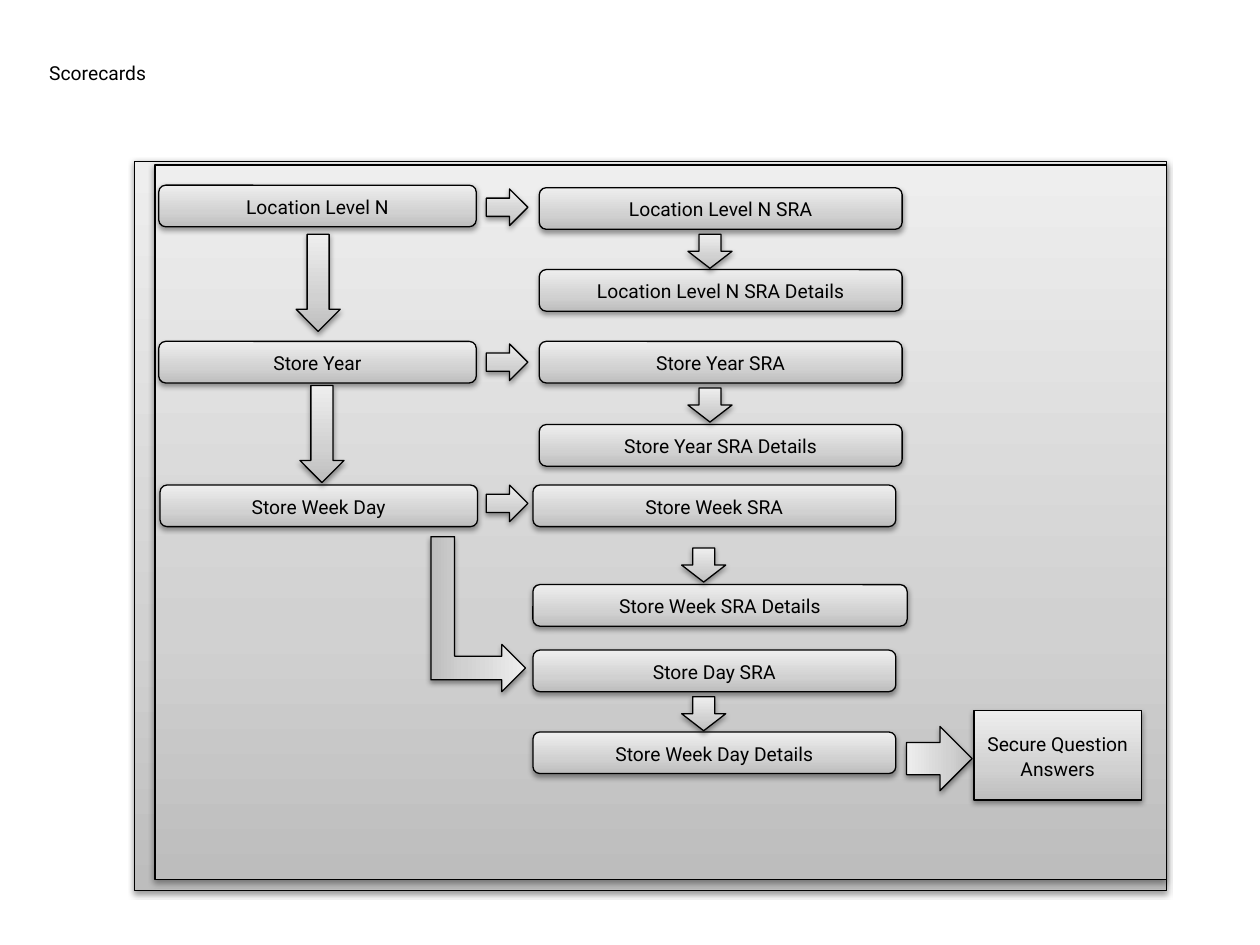
from lxml import etree
from pptx import Presentation
from pptx.dml.color import RGBColor
from pptx.enum.shapes import MSO_SHAPE
from pptx.enum.text import MSO_ANCHOR, MSO_AUTO_SIZE, PP_ALIGN
from pptx.oxml import parse_xml
from pptx.oxml.ns import nsdecls, qn
from pptx.util import Inches, Pt

RECT, ROUND = MSO_SHAPE.RECTANGLE, MSO_SHAPE.ROUNDED_RECTANGLE
DOWN, RIGHT = MSO_SHAPE.DOWN_ARROW, MSO_SHAPE.RIGHT_ARROW
BENT = MSO_SHAPE.BENT_UP_ARROW
LEFT, CENTER, MIDDLE = PP_ALIGN.LEFT, PP_ALIGN.CENTER, MSO_ANCHOR.MIDDLE
NO_FIT = MSO_AUTO_SIZE.NONE

BLACK = RGBColor(0x00, 0x00, 0x00)
GRADIENT = [
    (0, RGBColor(0xBD, 0xBD, 0xBD)),
    (35, RGBColor(0xD1, 0xD1, 0xD1)),
    (100, RGBColor(0xEE, 0xEE, 0xEE)),
]
FONT = "Roboto"

# Columns and sizes, in inches
LEVEL_X, SIDE_ARROW_X = 1.26, 3.86
LEVEL_W, SRA_W, BOX_H = 2.52, 2.88, 0.33
SHORT_ARROW = (0.35, 0.27)
LONG_ARROW = (0.35, 0.77)
SIDE_ARROW = (0.33, 0.29)

# Name, left, top, top of the arrow to its right
LEVELS = [
    ("Location Level N", LEVEL_X, 1.47, 1.5),
    ("Store Year", LEVEL_X, 2.71, 2.73),
    ("Store Week Day", LEVEL_X + 0.01, 3.85, 3.85),
]
# SRA name, details name, left, SRA top, arrow top, details top, details width
DETAILS = [
    ("Location Level N SRA", "Location Level N SRA Details", 4.28, 1.49, 1.86, 2.14, SRA_W),
    ("Store Year SRA", "Store Year SRA Details", 4.28, 2.71, 3.08, 3.37, SRA_W),
    ("Store Week SRA", "Store Week SRA Details", 4.23, 3.85, 4.35, 4.64, 2.97),
    ("Store Day SRA", "Store Week Day Details", 4.23, 5.16, 5.53, 5.81, SRA_W),
]


def write(shape, text, align=CENTER, spacing=1.05, after=8, size=11):
    tf = shape.text_frame
    tf.word_wrap = True
    tf.auto_size = NO_FIT
    tf.vertical_anchor = MIDDLE
    p = tf.paragraphs[0]
    p.alignment = align
    p.line_spacing = spacing
    p.space_before, p.space_after = Pt(0), Pt(after)
    r = p.add_run()
    r.text = text
    r.font.name, r.font.size = FONT, Pt(size)
    r.font.color.rgb = BLACK


def add_gradient(sp):
    """Fill from dark at the bottom to light at the top."""
    stops = "".join(
        f'<a:gs pos="{pos * 1000}"><a:srgbClr val="{color}"/></a:gs>'
        for pos, color in GRADIENT
    )
    fill = parse_xml(
        f'<a:gradFill {nsdecls("a")} rotWithShape="1"><a:gsLst>{stops}</a:gsLst>'
        '<a:lin ang="16200000" scaled="0"/></a:gradFill>'
    )
    sp._element.spPr.find(qn("a:prstGeom")).addnext(fill)


def add_shadow(sp):
    sp.shadow.inherit = False
    effects = sp._element.spPr.find(qn("a:effectLst"))
    shadow = etree.SubElement(
        effects, qn("a:outerShdw"), blurRad=str(Pt(3.1)), dist=str(Pt(1.6)),
        dir="5400000", rotWithShape="0",
    )
    color = etree.SubElement(shadow, qn("a:srgbClr"), val=str(BLACK))
    etree.SubElement(color, qn("a:alpha"), val="38000")


def add_block(shapes, kind, x, y, w, h, text="", rotation=0, **text_format):
    sp = shapes.add_shape(kind, Inches(x), Inches(y), Inches(w), Inches(h))
    sp.rotation = rotation
    add_gradient(sp)
    sp.line.color.rgb = BLACK
    sp.line.width = Pt(0.75)
    add_shadow(sp)
    if text:
        write(sp, text, **text_format)
    return sp


def add_title(s, text):
    title = s.shapes.title
    title.left, title.top = Inches(0.29), Inches(0.23)
    title.width, title.height = Inches(4.71), Inches(0.7)
    write(title, text, align=LEFT, spacing=1, after=0)


def add_levels(shapes):
    for name, x, y, arrow_y in LEVELS:
        add_block(shapes, ROUND, x, y, LEVEL_W, BOX_H, name)
        add_block(shapes, RIGHT, SIDE_ARROW_X, arrow_y, *SIDE_ARROW)
    for x, y in [(2.35, 1.86), (2.38, 3.06)]:
        add_block(shapes, DOWN, x, y, *LONG_ARROW)


def add_details(shapes):
    for sra, details, x, sra_y, arrow_y, details_y, details_w in DETAILS:
        add_block(shapes, ROUND, x, sra_y, SRA_W, BOX_H, sra)
        add_block(shapes, ROUND, x, details_y, details_w, BOX_H, details)
        add_block(shapes, DOWN, x + 1.18, arrow_y, *SHORT_ARROW)


def main():
    prs = Presentation()
    prs.slide_width, prs.slide_height = Inches(10), Inches(7.5)
    s = prs.slides.add_slide(prs.slide_layouts[5])
    add_title(s, "Scorecards")

    shapes = s.shapes.add_group_shape().shapes
    add_block(shapes, RECT, 1.07, 1.28, 8.19, 5.79)
    add_block(shapes, RECT, 1.23, 1.31, 8.03, 5.67)
    add_levels(shapes)
    add_details(shapes)
    add_block(shapes, BENT, 3.18, 4.5, 1.23, 0.75, rotation=90)
    add_block(shapes, DOWN, 7.2, 5.76, 0.51, 0.52, rotation=270)
    add_block(shapes, RECT, 7.73, 5.64, 1.33, 0.71, "Secure Question Answers", spacing=1.07)
    prs.save("out.pptx")


if __name__ == "__main__":
    main()
